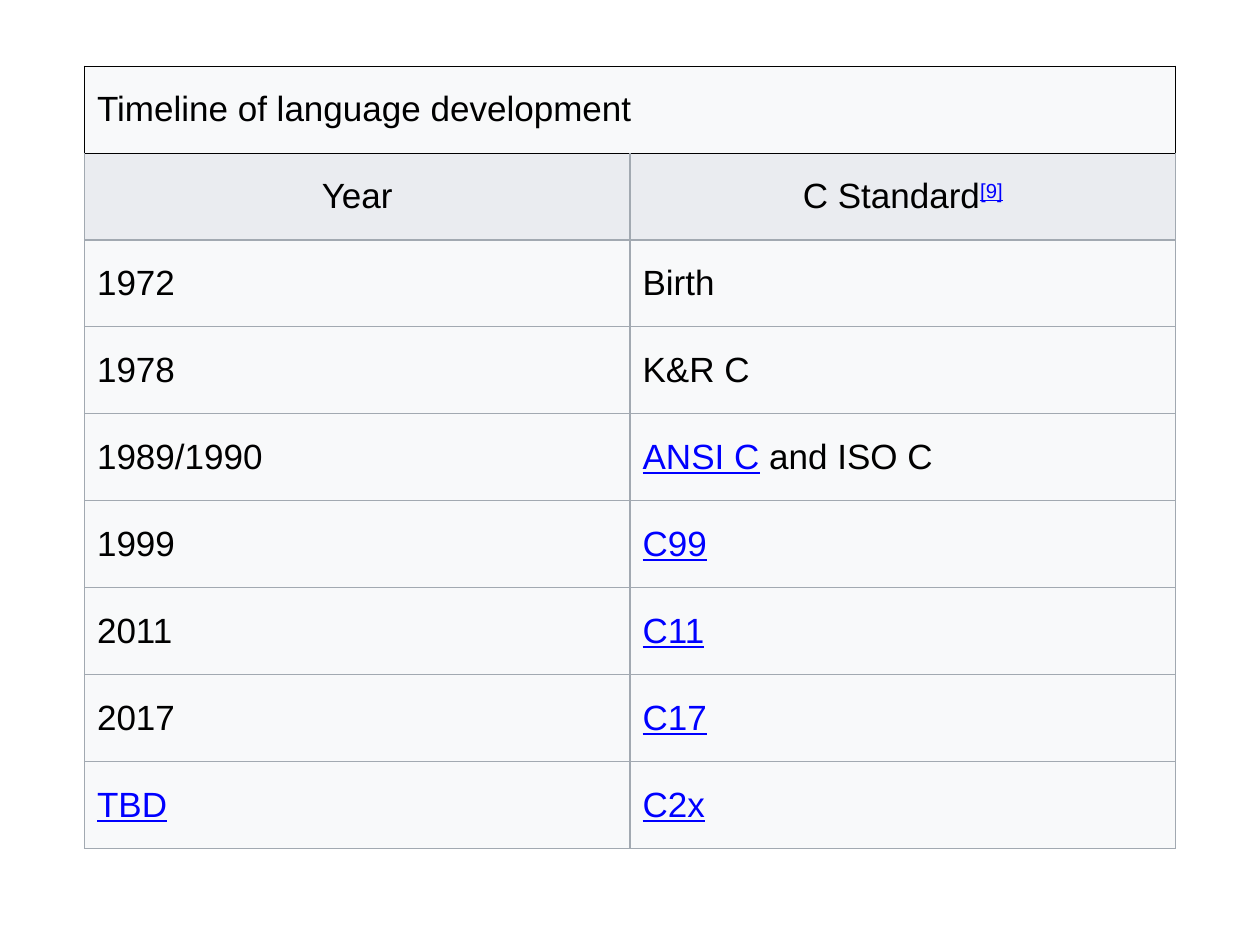
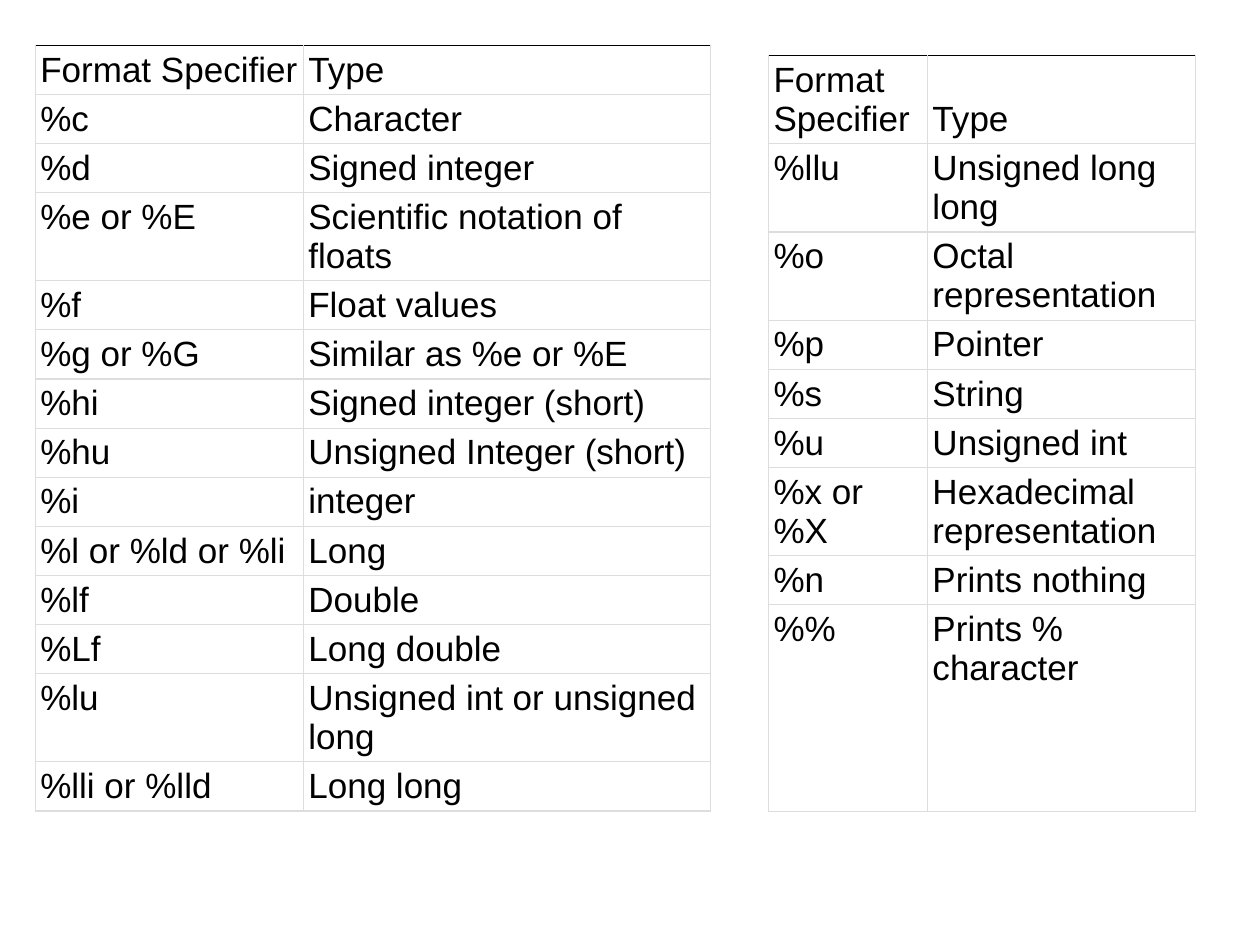
from lxml import etree
from pptx import Presentation, util as u
from pptx.dml.color import RGBColor
from pptx.enum import text
from pptx.oxml.ns import qn

BLACK = RGBColor(0x00, 0x00, 0x00)
LINK_BLUE = RGBColor(0x00, 0x00, 0xFF)
HEADER_GREY = RGBColor(0xEA, 0xEC, 0xF0)
BODY_GREY = RGBColor(0xF8, 0xF9, 0xFA)
TIMELINE_RULE = RGBColor(0xA2, 0xA9, 0xB1)
SPECIFIER_RULE = RGBColor(0xDD, 0xDD, 0xDD)

FONT, FONT_SIZE = "Arial", u.Pt(20)
RULE_WIDTH = u.Pt(0.75)
SLIDE_WIDTH, SLIDE_HEIGHT = u.Inches(10), u.Inches(7.5)
ONE_LINE, TWO_LINES = u.Inches(0.38), u.Inches(0.69)
CELL_INSET = u.Inches(0.04)
MIDDLE, BOTTOM, TOP = (text.MSO_ANCHOR.MIDDLE, text.MSO_ANCHOR.BOTTOM,
                       text.MSO_ANCHOR.TOP)

# A cell is a list of (words, style) runs; a plain string is one black run.
TIMELINE = [
    ("Timeline of language development", ""),
    ("Year", [("C Standard", ""), ("[9]", "reference")]),
    ("1972", "Birth"),
    ("1978", "K&R C"),
    ("1989/1990", [("ANSI C", "link"), (" and ISO C", "")]),
    ("1999", [("C99", "link")]),
    ("2011", [("C11", "link")]),
    ("2017", [("C17", "link")]),
    ([("TBD", "link")], [("C2x", "link")]),
]
SPECIFIER_HEADER = ("Format Specifier", "Type")
FIRST_SPECIFIERS = [
    SPECIFIER_HEADER,
    ("%c", "Character"),
    ("%d", "Signed integer"),
    ("%e or %E", "Scientific notation of floats"),
    ("%f", "Float values"),
    ("%g or %G", "Similar as %e or %E"),
    ("%hi", "Signed integer (short)"),
    ("%hu", "Unsigned Integer (short)"),
    ("%i", "integer"),
    ("%l or %ld or %li", "Long"),
    ("%lf", "Double"),
    ("%Lf", "Long double"),
    ("%lu", "Unsigned int or unsigned long"),
    ("%lli or %lld", "Long long"),
]
LAST_SPECIFIERS = [
    SPECIFIER_HEADER,
    ("%llu", "Unsigned long long"),
    ("%o", "Octal representation"),
    ("%p", "Pointer"),
    ("%s", "String"),
    ("%u", "Unsigned int"),
    ("%x or %X", "Hexadecimal representation"),
    ("%n", "Prints nothing"),
    ("%%", "Prints % character"),
]


def set_borders(cell, color, **sides):
    """Rule all four sides in one colour, except those named L, R, T or B."""
    properties = cell._tc.get_or_add_tcPr()
    for index, side in enumerate("LRTB"):
        line = etree.Element(qn(f"a:ln{side}"), w=str(int(RULE_WIDTH)))
        fill = etree.SubElement(line, qn("a:solidFill"))
        etree.SubElement(fill, qn("a:srgbClr"), val=str(sides.get(side, color)))
        properties.insert(index, line)


def write_cell(cell, content, anchor):
    cell.vertical_anchor = anchor
    paragraph = cell.text_frame.paragraphs[0]
    paragraph.font.name, paragraph.font.size = FONT, FONT_SIZE
    runs = [(content, "")] if isinstance(content, str) else content
    for words, style in runs:
        run = paragraph.add_run()
        run.text = words
        run.font.name, run.font.size = FONT, FONT_SIZE
        run.font.color.rgb = LINK_BLUE if style else BLACK
        if style:
            run.font.underline = True
        if style == "reference":
            run._r.get_or_add_rPr().set("baseline", "30000")
    return paragraph


def add_plain_table(slide, box, row_heights, column_shares):
    """Add an unbanded table; box is left, top and width as slide shares."""
    left, top, width = (int(share * size) for share, size in
                        zip(box, (SLIDE_WIDTH, SLIDE_HEIGHT, SLIDE_WIDTH)))
    table = slide.shapes.add_table(len(row_heights), len(column_shares),
                                   left, top, width, sum(row_heights)).table
    table.first_row = table.horz_banding = False
    for row, height in zip(table.rows, row_heights):
        row.height = height
    for column, share in zip(table.columns, column_shares):
        column.width = int(width * share)
    return table


def add_timeline(slide, box):
    table = add_plain_table(slide, box, [TWO_LINES] * len(TIMELINE), (0.5, 0.5))
    for row, entries in enumerate(TIMELINE):
        for column, content in enumerate(entries):
            cell = table.cell(row, column)
            paragraph = write_cell(cell, content, MIDDLE)
            cell.fill.solid()
            cell.fill.fore_color.rgb = HEADER_GREY if row == 1 else BODY_GREY
            if row == 1:
                paragraph.alignment = text.PP_ALIGN.CENTER
            top_rule = BLACK if row == 1 else TIMELINE_RULE
            if row == 0:
                set_borders(cell, BLACK)
            else:
                set_borders(cell, TIMELINE_RULE, T=top_rule)
    table.cell(0, 0).merge(table.cell(0, 1))


def add_specifiers(slide, box, entries, column_shares, two_line_rows,
                   last_height=ONE_LINE):
    heights = [TWO_LINES if row in two_line_rows else ONE_LINE
               for row in range(len(entries) - 1)] + [last_height]
    table = add_plain_table(slide, box, heights, column_shares)
    for row, pair in enumerate(entries):
        for column, content in enumerate(pair):
            cell = table.cell(row, column)
            cell.margin_left = cell.margin_right = CELL_INSET
            cell.margin_top = cell.margin_bottom = CELL_INSET
            write_cell(cell, content, TOP if row else BOTTOM)
            cell.fill.background()
            set_borders(cell, SPECIFIER_RULE, T=SPECIFIER_RULE if row else BLACK)


def main():
    presentation = Presentation()
    presentation.slide_width, presentation.slide_height = SLIDE_WIDTH, SLIDE_HEIGHT
    blank = presentation.slide_layouts[6]

    add_timeline(presentation.slides.add_slide(blank), (0.067, 0.07, 0.866))

    specifiers = presentation.slides.add_slide(blank)
    add_specifiers(specifiers, (0.028, 0.048, 0.536), FIRST_SPECIFIERS,
                   (0.397, 0.603), {3, 12})
    add_specifiers(specifiers, (0.61, 0.059, 0.339), LAST_SPECIFIERS,
                   (0.372, 0.628), {0, 1, 2, 6}, u.Inches(1.64))
    presentation.save("out.pptx")


if __name__ == "__main__":
    main()
